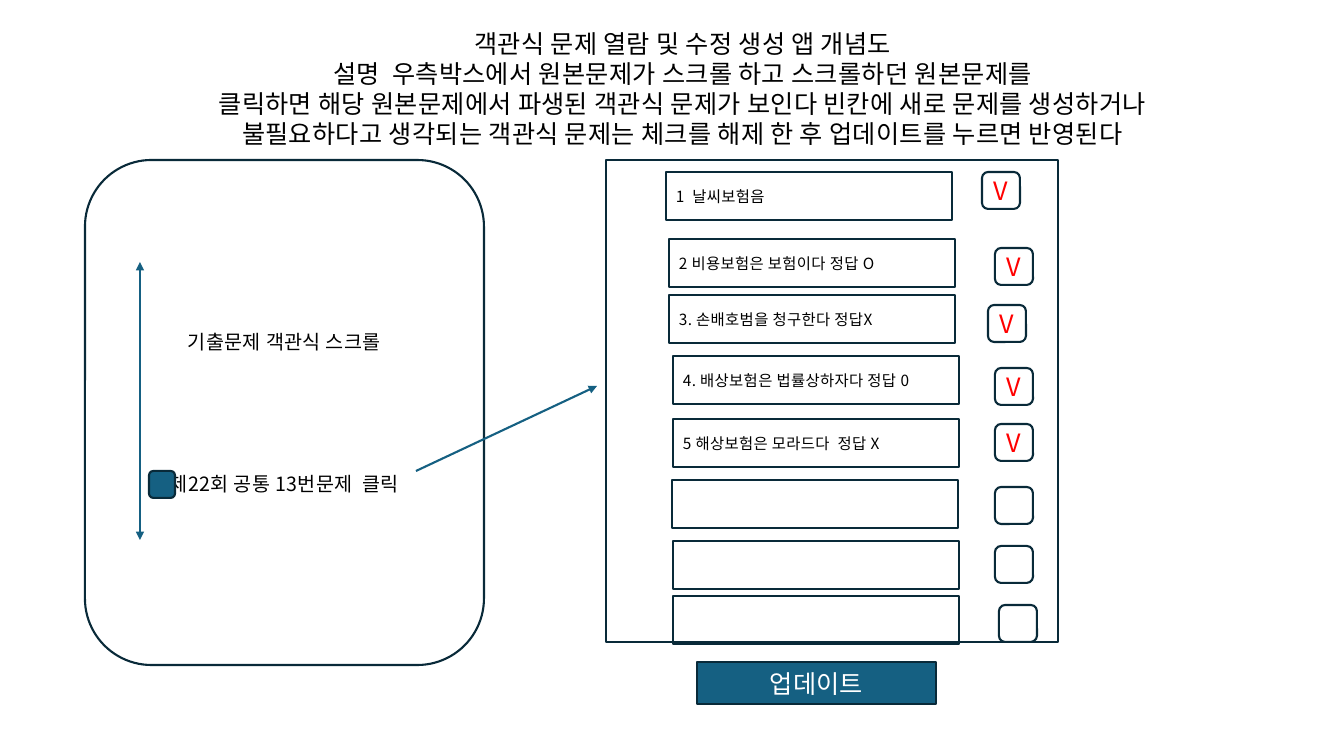
"""Build the concept slide of an app for browsing and editing quiz questions."""
from dataclasses import dataclass

from lxml import etree
from pptx import Presentation
from pptx import util as u
from pptx.dml.color import RGBColor
from pptx.enum import shapes, text
from pptx.oxml import ns

PX = 914400 / 100.8
FONT = "Noto Sans CJK KR"
LETTER_SPACING = "24"
COLORS = {"ink": "000000", "navy": "092A39", "teal": "156082", "red": "FF0000", "white": "FFFFFF"}
RECT = shapes.MSO_SHAPE.RECTANGLE
ROUND = shapes.MSO_SHAPE.ROUNDED_RECTANGLE
LEFT, CENTER = text.PP_ALIGN.LEFT, text.PP_ALIGN.CENTER
ROW_SIZE = (286, 48)
CHECK_SIZE = (38, 37)
TITLE = [
    "객관식 문제 열람 및 수정 생성 앱 개념도",
    "설명  우측박스에서 원본문제가 스크롤 하고 스크롤하던 원본문제를",
    "클릭하면 해당 원본문제에서 파생된 객관식 문제가 보인다 빈칸에 새로 문제를 생성하거나",
    "불필요하다고 생각되는 객관식 문제는 체크를 해제 한 후 업데이트를 누르면 반영된다",
]


@dataclass(frozen=True)
class Box:
    """A bordered shape with optional lines of text."""
    left: int
    top: int
    width: int
    height: int
    kind: int = RECT
    fill: str = ""
    lines: tuple = ()
    size: int = 18
    color: str = "ink"
    align: int = CENTER
    gap: float = 0


@dataclass(frozen=True)
class Question:
    """A question row and its check box; an empty wording means a free row."""
    left: int
    top: int
    check_left: int
    check_top: int
    wording: str = ""


@dataclass(frozen=True)
class Arrow:
    """A straight arrow between two points."""
    start: tuple
    end: tuple
    ends: tuple


QUESTIONS = [
    Question(666, 172, 982, 172, "1  날씨보험음"),
    Question(669, 239, 995, 248, "2 비용보험은 보험이다 정답 O"),
    Question(669, 295, 988, 305, "3. 손배호범을 청구한다 정답X"),
    Question(673, 356, 995, 368, "4. 배상보험은 법률상하자다 정답 0"),
    Question(673, 419, 995, 424, "5 해상보험은 모라드다  정답 X"),
    Question(672, 480, 995, 487),
    Question(673, 541, 995, 546),
    Question(673, 596, 999, 605),
]
SCROLL_PANEL = Box(85, 160, 399, 505, ROUND, size=14, gap=84.5,
                   lines=("기출문제 객관식 스크롤", "제22회 공통 13번문제  클릭"))
PICKED_MARK = Box(149, 471, 26, 27, ROUND, "teal")
QUESTION_PANEL = Box(606, 160, 452, 482)
UPDATE_BUTTON = Box(697, 662, 239, 42, fill="teal", lines=("업데이트",), color="white")
SCROLL_ARROW = Arrow((140, 262), (140, 540), ("headEnd", "tailEnd"))
CLICK_ARROW = Arrow((416, 471), (597, 386), ("tailEnd",))


def px(length: float) -> int:
    """Turn px into EMU."""
    return round(length * PX)


def rgb(name: str) -> RGBColor:
    """Look up a colour by name."""
    return RGBColor.from_string(COLORS[name])


def write(frame, lines, size: int, color: str, align: int, gap: float = 0) -> None:
    """Fill a text frame with one paragraph per line."""
    frame.word_wrap = True
    for index, line in enumerate(lines):
        para = frame.paragraphs[0] if index == 0 else frame.add_paragraph()
        span = para.add_run()
        span.text = line
        para.alignment = align
        para.line_spacing = u.Pt(size * 1.2)
        para.space_before = u.Pt(gap if index else 0)
        for font in (para.font, span.font):
            font.size = u.Pt(size)
            font.name = FONT
            font.color.rgb = rgb(color)
        span.font._element.set("spc", LETTER_SPACING)
        asian = etree.SubElement(span.font._element, ns.qn("a:ea"))
        asian.set("typeface", FONT)


def draw_box(page, box: Box) -> None:
    """Draw one box with its text."""
    shape = page.shapes.add_shape(box.kind, px(box.left), px(box.top), px(box.width), px(box.height))
    shape.shadow.inherit = False
    if box.fill:
        shape.fill.solid()
        shape.fill.fore_color.rgb = rgb(box.fill)
    else:
        shape.fill.background()
    shape.line.color.rgb = rgb("navy")
    shape.line.width = u.Pt(1.5)
    shape.text_frame.vertical_anchor = text.MSO_ANCHOR.MIDDLE
    write(shape.text_frame, box.lines, box.size, box.color, box.align, box.gap)


def draw_arrow(page, arrow: Arrow) -> None:
    """Draw one arrow with triangular heads."""
    line = page.shapes.add_connector(shapes.MSO_CONNECTOR.STRAIGHT,
                                     *map(px, arrow.start + arrow.end))
    line.line.color.rgb = rgb("teal")
    line.line.width = u.Pt(1.5)
    for end in arrow.ends:
        etree.SubElement(line.line._get_or_add_ln(), ns.qn(f"a:{end}")).set("type", "triangle")
    etree.SubElement(line._element.spPr, ns.qn("a:effectLst"))


def draw_title(page) -> None:
    """Place and fill the title placeholder."""
    title = page.shapes.title
    title.left, title.top, title.width, title.height = map(px, (114, 23, 1138, 132))
    title.text_frame.vertical_anchor = text.MSO_ANCHOR.TOP
    title.text_frame.auto_size = text.MSO_AUTO_SIZE.NONE
    write(title.text_frame, TITLE, 18, "ink", CENTER)


def main() -> None:
    """Build and save the deck."""
    deck = Presentation()
    deck.slide_width, deck.slide_height = px(1344), px(756)
    page = deck.slides.add_slide(deck.slide_layouts.get_by_name("Title Only"))
    draw_title(page)
    draw_box(page, SCROLL_PANEL)
    draw_arrow(page, SCROLL_ARROW)
    draw_box(page, PICKED_MARK)
    draw_box(page, QUESTION_PANEL)
    for row in QUESTIONS:
        wording, mark = ((row.wording,), ("V",)) if row.wording else ((), ())
        draw_box(page, Box(row.left, row.top, *ROW_SIZE, lines=wording, size=11, align=LEFT))
        draw_box(page, Box(row.check_left, row.check_top, *CHECK_SIZE, ROUND,
                           lines=mark, color="red"))
    draw_arrow(page, CLICK_ARROW)
    draw_box(page, UPDATE_BUTTON)
    deck.save("out.pptx")


if __name__ == "__main__":
    main()
